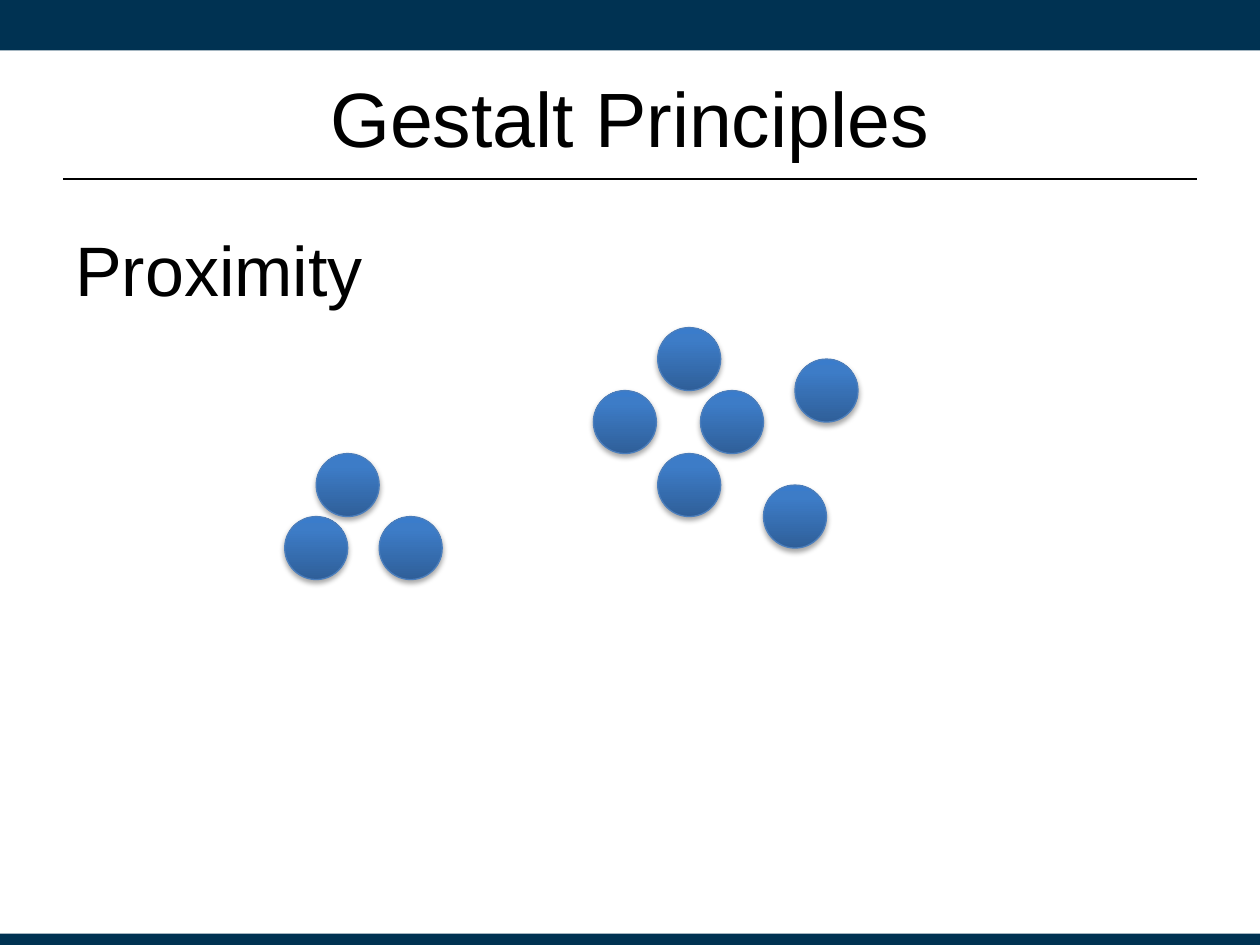
from copy import deepcopy

from lxml import etree
from pptx import Presentation
from pptx.dml.color import RGBColor
from pptx.enum.shapes import MSO_CONNECTOR, MSO_SHAPE
from pptx.enum.text import MSO_ANCHOR, PP_ALIGN
from pptx.oxml.ns import qn
from pptx.util import Inches, Pt

RECT, OVAL = MSO_SHAPE.RECTANGLE, MSO_SHAPE.OVAL
STRAIGHT = MSO_CONNECTOR.STRAIGHT
TOP, MIDDLE = MSO_ANCHOR.TOP, MSO_ANCHOR.MIDDLE
LEFT, CENTER = PP_ALIGN.LEFT, PP_ALIGN.CENTER

FONT = "Arial"
COLORS = {"navy": "003252", "ink": "000000", "edge": "4B7EBC",
          "dark": "2F5F99", "mid": "3D7CC7", "light": "3A7CCB"}
STOPS = [(0, "dark"), (0.8, "mid"), (1, "light")]
DOT = 0.5
GROUPS = {
    "trio": [(2.26, 4.1), (2.51, 3.6), (3.01, 4.1)],
    "diamond": [(4.71, 3.1), (5.22, 3.6), (5.22, 2.6), (5.56, 3.1)],
    "loners": [(6.06, 3.85), (6.31, 2.85)],
}


def color(name):
    return RGBColor.from_string(COLORS[name])


def add_bar(slide, top, height):
    bar = slide.shapes.add_shape(RECT, 0, Inches(top), Inches(10), Inches(height))
    bar.shadow.inherit = False
    bar.fill.solid()
    bar.fill.fore_color.rgb = color("navy")
    bar.line.fill.background()


def write(frame, text, size, align, anchor):
    frame.word_wrap = True
    frame.vertical_anchor = anchor
    para = frame.paragraphs[0]
    para.alignment = align
    run = para.add_run()
    run.text = text
    run.font.size = Pt(size)
    run.font.name = FONT
    run.font.color.rgb = color("ink")
    return para


def add_title(slide, text):
    title = slide.shapes.title
    title.left, title.top = Inches(0.5), Inches(0.3)
    title.width, title.height = Inches(9), Inches(1.25)
    write(title.text_frame, text, 44, CENTER, MIDDLE)


def add_body(slide, text):
    box = slide.shapes.add_textbox(Inches(0.5), Inches(1.75), Inches(9), Inches(4.95))
    para = write(box.text_frame, text, 40, LEFT, TOP)
    para.space_before = Pt(4)


def shade(fill):
    """Fill with the three-stop gradient, dark at the bottom."""
    fill.gradient()
    fill.gradient_angle = 90
    stops = fill._fill._gradFill.find(qn("a:gsLst"))
    stops.append(deepcopy(stops[-1]))
    for stop, (place, name) in zip(fill.gradient_stops, STOPS):
        stop.position = place
        stop.color.rgb = color(name)


def cast(shape):
    """Give the shape a soft shadow straight below it."""
    shape.shadow.inherit = False
    effects = shape._element.spPr.find(qn("a:effectLst"))
    outer = etree.SubElement(effects, qn("a:outerShdw"), blurRad=str(Pt(3.1)),
                             dist=str(Pt(1.8)), dir="5400000", rotWithShape="0")
    tint = etree.SubElement(outer, qn("a:srgbClr"), val=COLORS["ink"])
    etree.SubElement(tint, qn("a:alpha"), val="35000")


def add_dot(slide, left, top):
    dot = slide.shapes.add_shape(OVAL, Inches(left), Inches(top),
                                 Inches(DOT), Inches(DOT))
    shade(dot.fill)
    dot.line.color.rgb = color("edge")
    dot.line.width = Pt(0.75)
    cast(dot)


def add_rule(slide, top):
    rule = slide.shapes.add_connector(STRAIGHT, Inches(0.5), Inches(top),
                                      Inches(9.5), Inches(top))
    rule.line.color.rgb = color("ink")
    rule.line.width = Pt(1.25)
    etree.SubElement(rule._element.spPr, qn("a:effectLst"))


def main():
    deck = Presentation()
    deck.slide_width, deck.slide_height = Inches(10), Inches(7.5)
    slide = deck.slides.add_slide(deck.slide_layouts[5])
    add_bar(slide, 0, 0.4)
    add_bar(slide, 7.41, 0.1)
    add_title(slide, "Gestalt Principles")
    add_body(slide, "Proximity")
    for group in GROUPS.values():
        for left, top in group:
            add_dot(slide, left, top)
    add_rule(slide, 1.42)
    deck.save("out.pptx")


if __name__ == "__main__":
    main()
